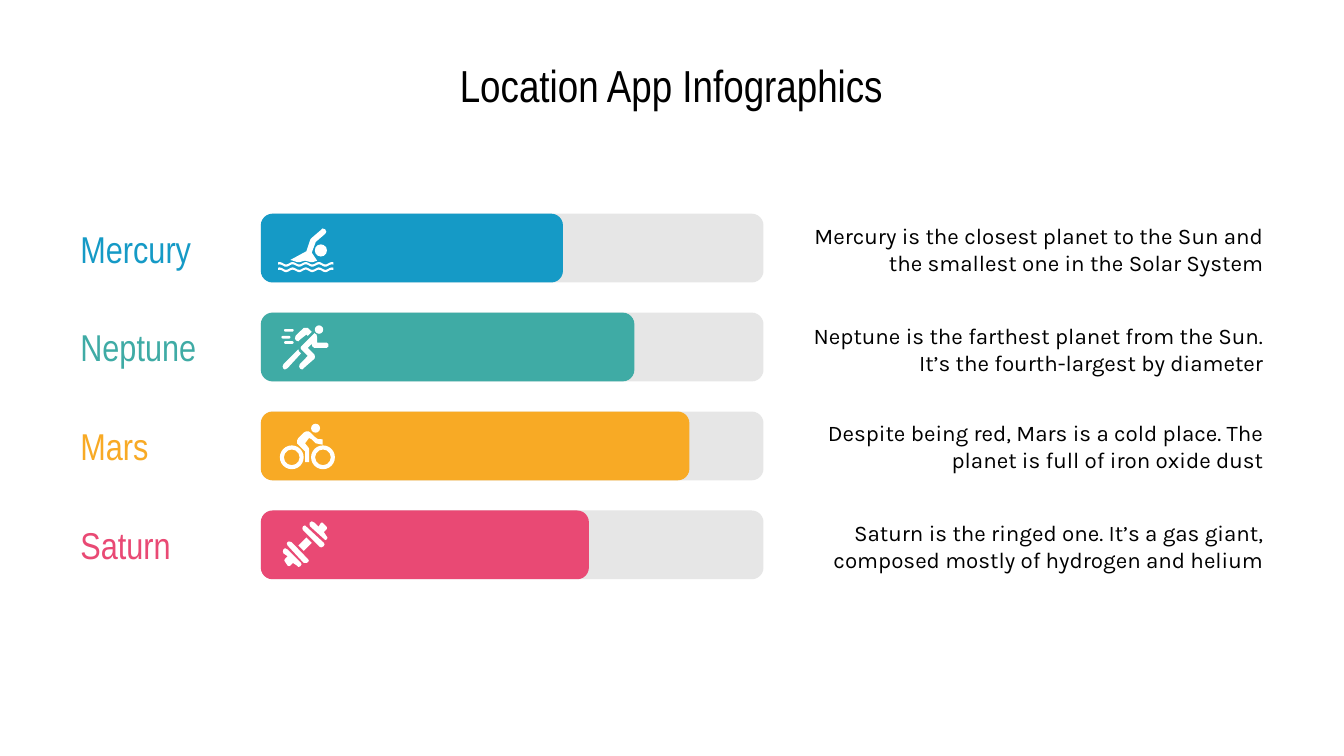
"""Build the Location App Infographics slide with four planet progress bars."""
import math

import pptx
import pptx.dml.color
import pptx.enum.shapes
import pptx.enum.text
import pptx.util

Cm = pptx.util.Cm
colour = pptx.dml.color.RGBColor.from_string
ALIGN = pptx.enum.text.PP_ALIGN
SHAPE = pptx.enum.shapes.MSO_SHAPE

deck = pptx.Presentation()
deck.slide_width, deck.slide_height = Cm(25.4), Cm(14.29)
slide = deck.slides.add_slide(deck.slide_layouts[6])


def write(text, left, top, width, height, size, font="Arial Narrow", ink="000000", align=ALIGN.LEFT):
    box = slide.shapes.add_textbox(Cm(left), Cm(top), Cm(width), Cm(height))
    frame = box.text_frame
    frame.word_wrap = True
    frame.vertical_anchor = pptx.enum.text.MSO_ANCHOR.MIDDLE
    frame.margin_left = frame.margin_right = Cm(0.25)
    frame.margin_top = frame.margin_bottom = Cm(0.25)
    paragraph = frame.paragraphs[0]
    paragraph.alignment = align
    run = paragraph.add_run()
    run.text = text
    run.font.size = pptx.util.Pt(size)
    run.font.name = font
    run.font.color.rgb = colour(ink)


def paint(shape, fill):
    shape.shadow.inherit = False
    shape.fill.solid()
    shape.fill.fore_color.rgb = colour(fill)
    shape.line.fill.background()


wave_crest = [(x, 195.9 - 0.9 * math.cos(2 * math.pi * (x - 208) / 9.75)) for x in range(207, 249)]
wave = wave_crest + [(x, y + 1.7) for x, y in reversed(wave_crest)]
swimmer_body = [
    (240, 170), (239, 171), (232, 177), (231, 178), (228, 187), (216, 193.5), (218, 194),
    (221, 195), (223, 195), (227, 194), (231, 195), (233, 195), (236, 194), (232, 188),
    (235, 180), (242, 174), (242.8, 172.5), (242, 170.7)]
swimmer_outlines = [swimmer_body, wave, [(x, y + 4) for x, y in wave]]
swimmer_presets = [(SHAPE.OVAL, 5.95, 4.62, 0.23, 0.23, None)]

runner_outlines = [
    [(234, 248), (233, 249), (224, 258), (223.7, 259), (224, 260), (229, 265), (223, 271),
     (222.6, 273), (223.3, 274.4), (225, 275), (226, 274), (234, 267), (234.4, 265.5),
     (234, 264), (229, 259), (232, 256), (232.5, 258), (234, 259), (243, 259), (244.3, 258),
     (244.3, 256), (243, 255), (236, 255), (236, 251), (235.5, 249)],
    [(227, 244), (226, 244), (220, 250), (219.5, 252), (220.3, 253.4), (222, 254), (223, 253),
     (228, 249), (229, 250), (231, 248), (232, 247), (229, 244)],
    [(222, 260), (211, 271), (210.3, 272.7), (210.8, 274.2), (212, 275), (214, 274),
     (224, 263), (222.5, 261.5)]]
runner_presets = [
    (SHAPE.OVAL, 5.95, 6.15, 0.16, 0.16, None),
    (SHAPE.ROUNDED_RECTANGLE, 5.37, 6.22, 0.18, 0.05, 0.5),
    (SHAPE.ROUNDED_RECTANGLE, 5.32, 6.35, 0.17, 0.05, 0.5),
    (SHAPE.ROUNDED_RECTANGLE, 5.37, 6.45, 0.18, 0.05, 0.5)]

cyclist_outlines = [
    [(228, 321), (226, 322), (222, 326), (221, 328), (221, 330), (222, 331), (227, 336),
     (227, 344), (230, 344), (230, 334), (229.5, 333), (227, 330), (230, 326), (232, 327),
     (235, 330), (240, 331), (240, 327), (236.5, 326.8), (234, 325), (231, 322), (229.5, 321)]]
cyclist_presets = [
    (SHAPE.OVAL, 5.88, 8.01, 0.17, 0.17, None),
    (SHAPE.DONUT, 5.29, 8.42, 0.45, 0.45, 0.17),
    (SHAPE.DONUT, 5.88, 8.42, 0.45, 0.45, 0.17)]

dumbbell_outlines = [
    [(232, 388), (230.5, 389), (230.3, 390.5), (231, 392), (241, 401), (242, 402), (243.3, 401.3),
     (243.7, 400), (243, 399), (241, 396), (243, 394), (243.4, 393), (243, 392), (240, 389),
     (239, 389), (237, 392), (234, 389)],
    [(212, 408), (210.8, 409), (210.5, 410.5), (211, 412), (214, 414), (212, 416), (211.5, 417),
     (212, 418), (214, 421), (215, 421.4), (216, 421), (218, 419), (221, 421), (222, 422),
     (223.6, 421.3), (224.3, 420), (224, 419), (214, 409)],
    [(228, 400), (222, 406), (226, 410), (232, 404)],
    [(227, 391), (225.5, 391.7), (225, 393), (225.3, 394.3), (238, 407), (239, 407.4),
     (240.7, 406.6), (241.5, 405.3), (241, 404), (228, 392)],
    [(215, 403), (214, 403.4), (213.4, 404.5), (214, 406), (226, 419), (228, 419),
     (229.3, 418.3), (229.8, 417), (229, 416), (217, 403.5)]]

planets = [
    ("Mercury", "159AC6", 5.71, 4.17, 1.07, swimmer_outlines, swimmer_presets,
     "Mercury is the closest planet to the Sun and the smallest one in the Solar System"),
    ("Neptune", "3FABA5", 7.06, 6.07, 1.07, runner_outlines, runner_presets,
     "Neptune is the farthest planet from the Sun. It’s the fourth-largest by diameter"),
    ("Mars", "F8AA25", 8.1, 7.9, 1.07, cyclist_outlines, cyclist_presets,
     "Despite being red, Mars is a cold place. The planet is full of iron oxide dust"),
    ("Saturn", "E94974", 6.2, 9.6, 1.45, dumbbell_outlines, [],
     "Saturn is the ringed one. It’s a gas giant, composed mostly of hydrogen and helium")]

write("Location App Infographics", 5.89, 1.07, 13.59, 1.07, 24, align=ALIGN.CENTER)

for row, (planet, accent, progress, note_top, note_height, outlines, presets, note) in enumerate(planets):
    bar_top = 4.04 + 1.87 * row
    for bar_width, bar_fill in ((9.5, "E6E6E6"), (progress, accent)):
        bar = slide.shapes.add_shape(
            SHAPE.ROUNDED_RECTANGLE, Cm(4.93), Cm(bar_top), Cm(bar_width), Cm(1.3))
        bar.adjustments[0] = 0.17
        paint(bar, bar_fill)
    for outline in outlines:
        points = [(round(x * 10), round(y * 10)) for x, y in outline]
        builder = slide.shapes.build_freeform(*points[0], scale=Cm(2.54) / 1000)
        builder.add_line_segments(points[1:], close=True)
        paint(builder.convert_to_shape(), "FFFFFF")
    for kind, left, top, width, height, adjustment in presets:
        icon_part = slide.shapes.add_shape(kind, Cm(left), Cm(top), Cm(width), Cm(height))
        if adjustment is not None:
            icon_part.adjustments[0] = adjustment
        paint(icon_part, "FFFFFF")
    write(planet, 1.27, bar_top + 0.22, 3.48, 0.86, 20, ink=accent)
    write(note, 14.63, note_top, 9.5, note_height, 12, font="Karla", align=ALIGN.RIGHT)

deck.save("out.pptx")
